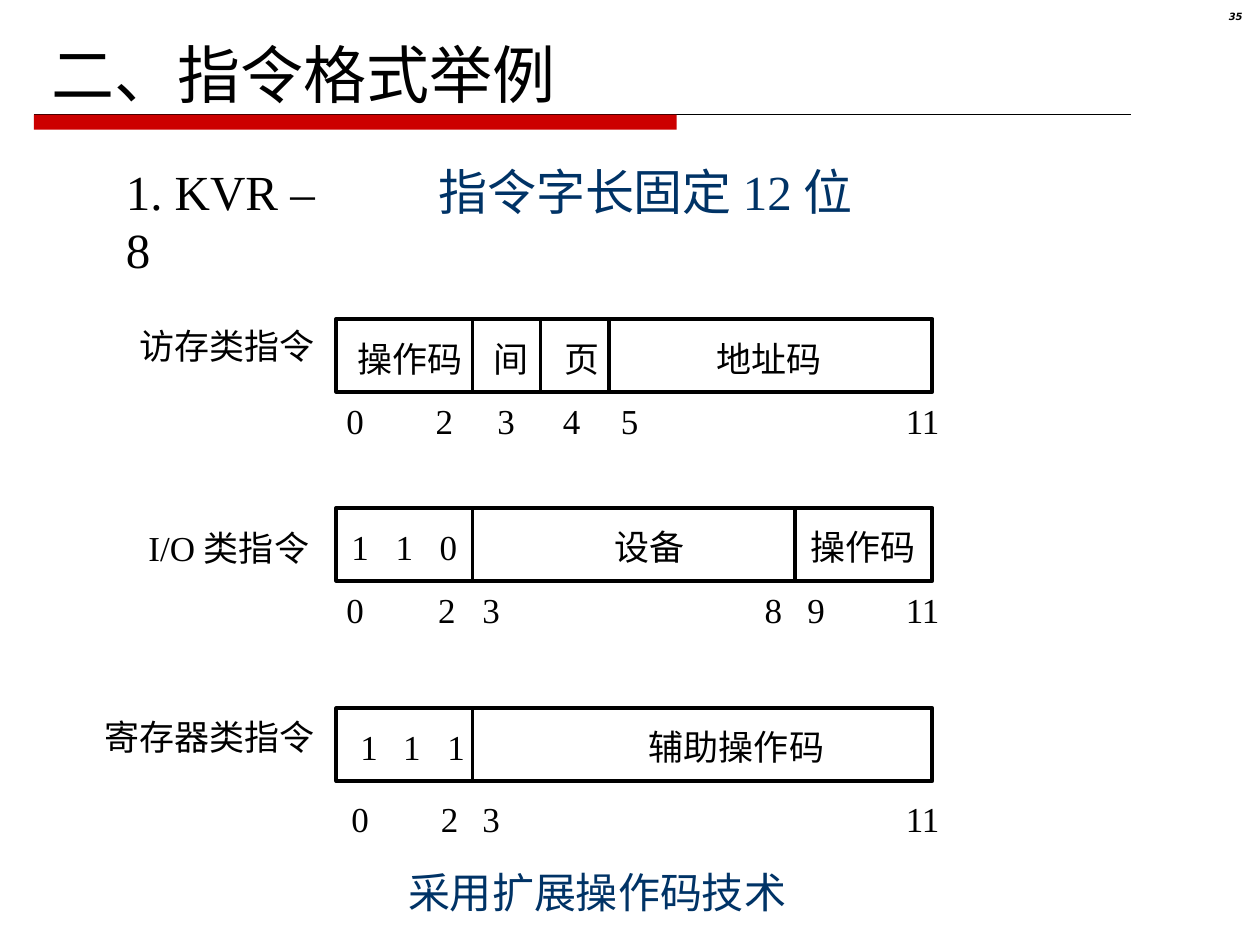
"""Build the slide on the instruction formats of a 12-bit machine."""
import lxml.etree
import pptx
import pptx.dml.color
import pptx.enum.shapes
import pptx.enum.text
import pptx.oxml.ns
import pptx.util

Inches = pptx.util.Inches
Pt = pptx.util.Pt
qn = pptx.oxml.ns.qn
BLACK = pptx.dml.color.RGBColor(0x00, 0x00, 0x00)
RED = pptx.dml.color.RGBColor(0xCC, 0x00, 0x00)
NAVY = pptx.dml.color.RGBColor(0x00, 0x33, 0x66)


def add_text(shapes, text, left, top, width, height, size=20, color=BLACK,
             wrap=False, tabs=()):
    box = shapes.add_textbox(Inches(left), Inches(top), Inches(width), Inches(height))
    frame = box.text_frame
    frame.text = text
    frame.word_wrap = wrap
    frame.auto_size = pptx.enum.text.MSO_AUTO_SIZE.SHAPE_TO_FIT_TEXT
    paragraph = frame.paragraphs[0]
    if tabs:
        frame.margin_left = 0
        tab_list = lxml.etree.SubElement(paragraph._p.get_or_add_pPr(), qn("a:tabLst"))
        for stop in tabs:
            lxml.etree.SubElement(tab_list, qn("a:tab"), pos=str(Inches(stop)), algn="l")
    for run in paragraph.runs:
        run.font.name = "Times New Roman"
        run.font.size = Pt(size)
        run.font.color.rgb = color
    return box


def add_line(shapes, x1, y1, x2, y2, weight):
    line = shapes.add_connector(pptx.enum.shapes.MSO_CONNECTOR.STRAIGHT,
                                Inches(x1), Inches(y1), Inches(x2), Inches(y2))
    line.line.color.rgb = BLACK
    line.line.width = Pt(weight)
    lxml.etree.SubElement(line._element.spPr, qn("a:effectLst"))


presentation = pptx.Presentation()
presentation.slide_width = Inches(10)
presentation.slide_height = Inches(7.5)
slide = presentation.slides.add_slide(presentation.slide_layouts[6])
shapes = slide.shapes

add_line(shapes, 0.27, 0.91, 8.98, 0.91, 0.75)
title_bar = shapes.add_shape(pptx.enum.shapes.MSO_SHAPE.RECTANGLE,
                             Inches(0.27), Inches(0.91), Inches(5.1), Inches(0.12))
title_bar.shadow.inherit = False
title_bar.fill.solid()
title_bar.fill.fore_color.rgb = RED
title_bar.line.fill.background()

page_number = add_text(shapes, "35", 9.37, 0.05, 0.59, 0.23, size=5.7, wrap=True)
page_number.text_frame.auto_size = pptx.enum.text.MSO_AUTO_SIZE.NONE
number_line = page_number.text_frame.paragraphs[0]
number_line.alignment = pptx.enum.text.PP_ALIGN.RIGHT
number_line.line_spacing = 0.8
number_font = number_line.runs[0].font
number_font.name = "DejaVu Sans"
number_font.bold = True
number_font.italic = True

add_text(shapes, "二、指令格式举例", 0.31, 0.23, 5.12, 0.7, size=36, wrap=True)
add_text(shapes, "1. KVR – 8", 0.9, 1.23, 1.88, 0.57, size=28)
add_text(shapes, "指令字长固定 12 位", 3.38, 1.23, 4.35, 0.57, size=28, color=NAVY, wrap=True)

WORD_LEFT, WORD_WIDTH, WORD_HEIGHT = 2.67, 4.73, 0.58
formats = [
    {"top": 2.53, "label": ("访存类指令", 1.01, 2.53, 1.59), "fields_top": 2.63,
     "fields": [("操作码", 0.11), ("间", 1.19), ("页", 1.75), ("地址码", 2.96)],
     "dividers": [3.75, 4.29, 4.83], "bits_top": 3.12,
     "bits": [("0", 2.65), ("2", 3.36), ("3", 3.85), ("4", 4.37), ("5", 4.83), ("11", 7.09)]},
    {"top": 4.03, "label": ("I/O 类指令", 1.08, 4.13, 1.54), "fields_top": 4.12,
     "fields": [("1", 0.06), ("1", 0.41), ("0", 0.76), ("设备", 2.15), ("操作码", 3.7)],
     "dividers": [3.75, 6.31], "bits_top": 4.62,
     "bits": [("0", 2.65), ("2", 3.38), ("3", 3.73), ("8", 5.97), ("9", 6.31), ("11", 7.09)]},
    {"top": 5.62, "label": ("寄存器类指令", 0.73, 5.63, 1.87), "fields_top": 5.71,
     "fields": [("1", 0.13), ("1", 0.47), ("1", 0.82), ("辅助操作码", 2.42)],
     "dividers": [3.75], "bits_top": 6.28,
     "bits": [("0", 2.69), ("2", 3.4), ("3", 3.73), ("11", 7.09)]},
]

for layout in formats:
    parts = shapes.add_group_shape().shapes
    top = layout["top"]
    word = parts.add_shape(pptx.enum.shapes.MSO_SHAPE.RECTANGLE, Inches(WORD_LEFT), Inches(top),
                           Inches(WORD_WIDTH), Inches(WORD_HEIGHT))
    word.shadow.inherit = False
    word.fill.background()
    word.line.color.rgb = BLACK
    word.line.width = Pt(2.25)
    for x in layout["dividers"]:
        add_line(parts, x, top, x, top + WORD_HEIGHT, 2.25)
    names, stops = zip(*layout["fields"])
    add_text(parts, "\t" + "\t".join(names), 2.73, layout["fields_top"], 4.83, 0.44,
             wrap=True, tabs=stops)
    label, label_left, label_top, label_width = layout["label"]
    add_text(parts, label, label_left, label_top, label_width, 0.44)
    for bit, left in layout["bits"]:
        add_text(parts, bit, left, layout["bits_top"], 0.2 + 0.14 * len(bit), 0.44)

conclusion = add_text(shapes, "采用扩展操作码技术", 3.14, 6.77, 6, 0.56, size=24,
                      color=NAVY, wrap=True)
conclusion.text_frame.paragraphs[0].line_spacing = 1.15

presentation.save("out.pptx")
